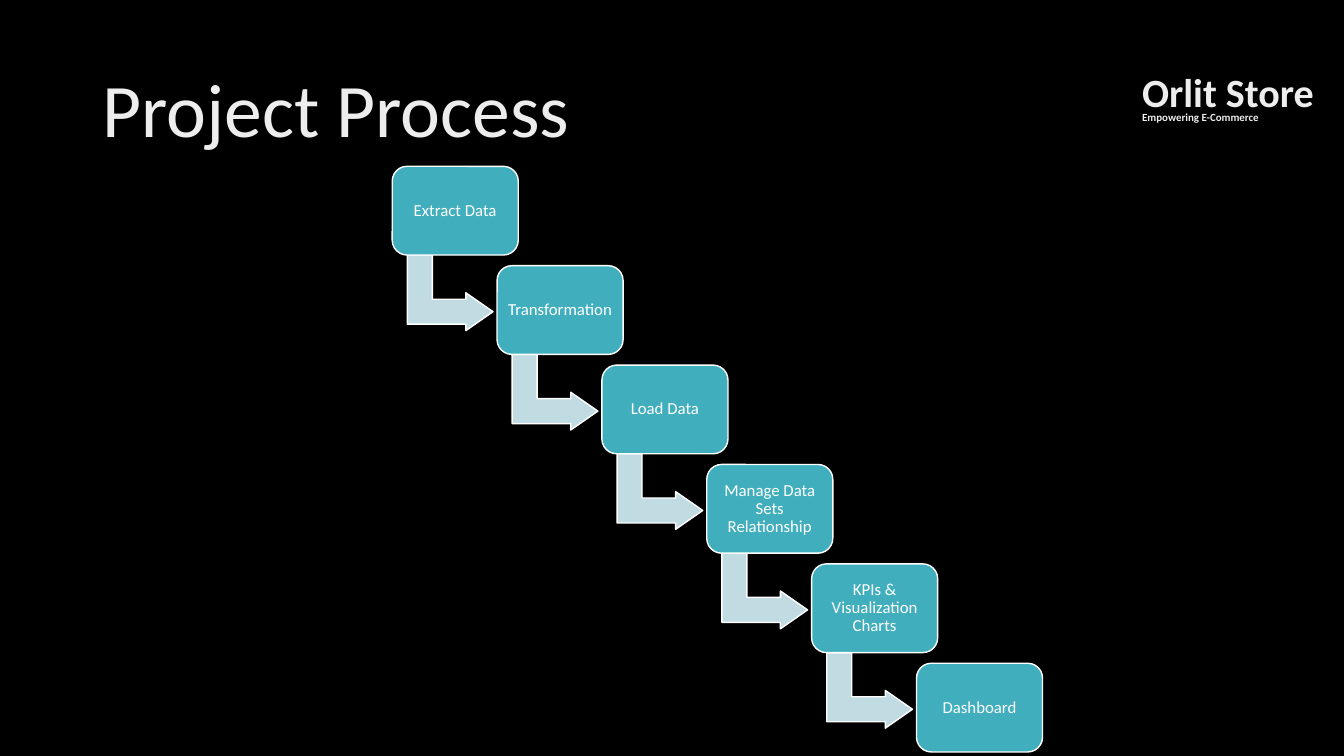
from pptx import Presentation
from pptx.dml.color import RGBColor
from pptx.enum.shapes import MSO_SHAPE
from pptx.enum.text import MSO_ANCHOR, MSO_AUTO_SIZE, PP_ALIGN
from pptx.util import Inches, Pt

COLOURS = {
    "background": "000000",
    "heading": "EDEDED",
    "step": "41AEBD",
    "arrow": "C0DBE1",
    "white": "FFFFFF",
}
STEPS = [
    "Extract Data",
    "Transformation",
    "Load Data",
    "Manage Data Sets Relationship",
    "KPIs & Visualization Charts",
    "Dashboard",
]
STEP_WIDTH, STEP_HEIGHT = 1.25, 0.88
ARROW_WIDTH, ARROW_HEIGHT = 0.75, 0.85
ARROW_LEFT, ARROW_TOP = 0.2, 0.83


def colour(name):
    """Return the named colour."""
    return RGBColor.from_string(COLOURS[name])


def apply_format(target, values):
    """Set each attribute of the target from a dict."""
    for name, value in values.items():
        setattr(target, name, value)


def format_frame(frame, inset=0.1):
    """Centre a text frame vertically and set its inner margins."""
    apply_format(frame, {
        "word_wrap": True,
        "auto_size": MSO_AUTO_SIZE.NONE,
        "vertical_anchor": MSO_ANCHOR.MIDDLE,
        "margin_left": Inches(inset),
        "margin_right": Inches(inset),
    })


def add_span(para, text, size, colour_name, bold=False):
    """Add a formatted run to a paragraph."""
    span = para.add_run()
    span.text = text
    apply_format(span.font, {"name": "Calibri", "size": Pt(size), "bold": bold})
    span.font.color.rgb = colour(colour_name)


def add_block(page, kind, box, fill):
    """Add a filled preset shape with a thin white outline."""
    block = page.shapes.add_shape(kind, *map(Inches, box))
    block.shadow.inherit = False
    block.fill.solid()
    block.fill.fore_color.rgb = colour(fill)
    block.line.color.rgb = colour("white")
    block.line.width = Pt(1)
    return block


def place_title(page, box):
    """Move and format the title placeholder."""
    title = page.shapes.title
    left, top, width, height = map(Inches, box)
    apply_format(title, {"left": left, "top": top, "width": width, "height": height})
    format_frame(title.text_frame)
    para = title.text_frame.paragraphs[0]
    apply_format(para, {"alignment": PP_ALIGN.LEFT, "line_spacing": 0.9})
    add_span(para, "Project Process", 54, "heading")


def place_staircase(page, box):
    """Place the steps evenly down the diagonal of the box, linked by bent arrows."""
    left, top, width, height = box
    across = (width - STEP_WIDTH) / (len(STEPS) - 1)
    down = (height - STEP_HEIGHT) / (len(STEPS) - 1)
    for index, text in enumerate(STEPS):
        step_left, step_top = left + index * across, top + index * down
        if index < len(STEPS) - 1:
            arrow_box = (step_left + ARROW_LEFT, step_top + ARROW_TOP,
                         ARROW_WIDTH, ARROW_HEIGHT)
            arrow = add_block(page, MSO_SHAPE.BENT_UP_ARROW, arrow_box, "arrow")
            arrow.rotation = 90
            for position, value in enumerate((0.33, 0.25, 0.36)):
                arrow.adjustments[position] = value
        step_box = (step_left, step_top, STEP_WIDTH, STEP_HEIGHT)
        step = add_block(page, MSO_SHAPE.ROUNDED_RECTANGLE, step_box, "step")
        format_frame(step.text_frame, 0.04)
        para = step.text_frame.paragraphs[0]
        apply_format(para, {"alignment": PP_ALIGN.CENTER, "line_spacing": 0.9})
        add_span(para, text, 12, "white")


def place_store_name(page, box):
    """Place the store name above its tagline."""
    label = page.shapes.add_textbox(*map(Inches, box))
    format_frame(label.text_frame)
    label.text_frame.margin_right = 0
    para = label.text_frame.paragraphs[0]
    para.line_spacing = 0.7
    add_span(para, "Orlit Store", 28.6, "heading", True)
    para.add_line_break()
    add_span(para, "Empowering E-Commerce", 7.8, "heading", True)


def build_process_slide(deck):
    """Build the project process slide."""
    page = deck.slides.add_slide(deck.slide_layouts[5])
    page.background.fill.solid()
    page.background.fill.fore_color.rgb = colour("background")
    place_title(page, (0.92, 0.4, 11.5, 1.45))
    place_staircase(page, (3.89, 1.65, 6.45, 5.81))
    place_store_name(page, (11.23, 0.71, 2.1, 0.61))


def main():
    """Create and save the deck."""
    deck = Presentation()
    apply_format(deck, {"slide_width": Inches(13.33), "slide_height": Inches(7.5)})
    build_process_slide(deck)
    deck.save("out.pptx")


if __name__ == "__main__":
    main()
